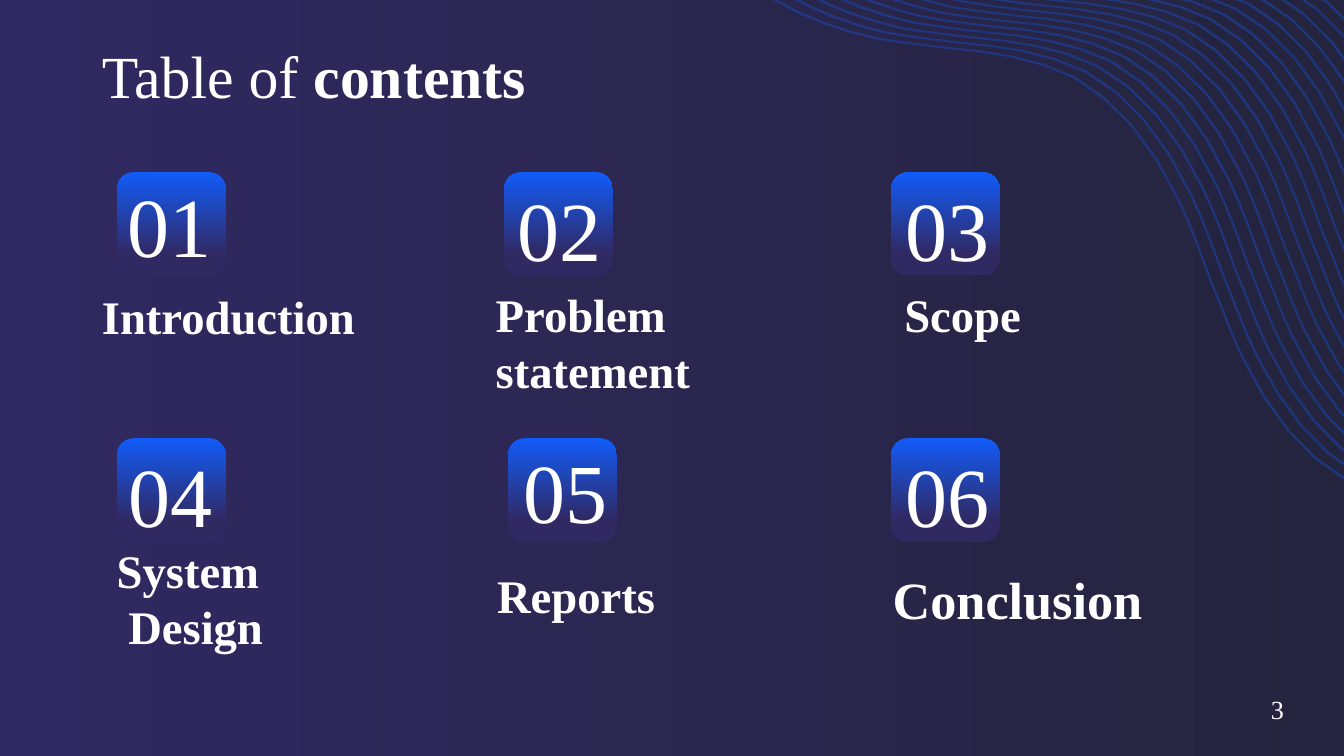
from collections import namedtuple
from itertools import pairwise

from lxml.etree import SubElement
from pptx import Presentation
from pptx.dml.color import RGBColor
from pptx.enum.shapes import MSO_SHAPE
from pptx.enum.text import MSO_ANCHOR, PP_ALIGN
from pptx.oxml.ns import qn
from pptx.util import Inches, Pt

NIGHT = RGBColor(0x24, 0x24, 0x3E)
PURPLE = RGBColor(0x31, 0x29, 0x62)
BLUE = RGBColor(0x11, 0x5C, 0xF9)
WHITE = RGBColor(0xFF, 0xFF, 0xFF)

SLIDE_WIDTH = Inches(10)
COLUMNS, ROWS = 100, 56.25
CELL = SLIDE_WIDTH // COLUMNS
FONT = "Times New Roman"

Box = namedtuple("Box", "column row columns rows")
Card = namedtuple("Card", "numeral label tile numeral_shift label_shift label_format")

HEADING = {"size": Pt(25), "bold": True}
CLOSING = {"size": Pt(28), "bold": True}
NUMERAL = {"size": Pt(45), "bold": False}

CARDS = [
    Card("01", "Introduction", (8.7, 12.8), (-1.3, -1), (-2.1, 7.5), HEADING),
    Card("02", "Problem statement", (37.5, 12.8), (-1.1, -0.7), (-1.6, 7.4), HEADING),
    Card("03", "Scope", (66.3, 12.8), (-1, -0.7), (0, 7.4), HEADING),
    Card("04", "System\v Design", (8.7, 32.6), (-1.2, -0.7), (-1, 6.6), HEADING),
    Card("05", "Reports", (37.8, 32.6), (-0.9, -1), (-1.8, 8.5), HEADING),
    Card("06", "Conclusion", (66.3, 32.6), (-1, -0.7), (-4.2, 8.5), CLOSING),
]

WAVE_START = (57.5, 0)
WAVE_CURVES = [
    [(59.8, 1.4), (62.4, 2.3), (65, 2.9)],
    [(66.7, 3.2), (68.4, 3.4), (70.1, 3.6)],
    [(73.4, 3.9), (76.8, 4.3), (79.8, 5.8)],
    [(82.9, 7.5), (85.6, 10.6), (87.7, 15.1)],
    [(88.6, 17), (89.3, 19), (90, 20.9)],
    [(90.8, 22.8), (91.5, 24.8), (92.4, 26.7)],
    [(94.5, 31), (97, 34), (100, 35.7)],
]
WAVE_COUNT = 19
WAVE_STEP = (0.93, -0.39)
WAVE_THICKNESS = (0.12, -0.14)
CURVE_SAMPLES = 4


def emu(box):
    return [round(length * CELL) for length in box]


def paint_gradient(fill, stops, angle):
    fill.gradient()
    fill.gradient_angle = angle
    for stop, (position, color) in zip(fill.gradient_stops, stops):
        stop.position = position
        stop.color.rgb = color


def add_text(slide, box, runs, align=PP_ALIGN.LEFT, inset=1):
    frame = slide.shapes.add_textbox(*emu(box)).text_frame
    margin = round(inset * CELL)
    frame_format = {
        "word_wrap": True,
        "vertical_anchor": MSO_ANCHOR.TOP,
        "margin_left": margin,
        "margin_right": margin,
        "margin_top": margin + CELL // 10,
        "margin_bottom": margin,
    }
    for name, value in frame_format.items():
        setattr(frame, name, value)
    paragraph = frame.paragraphs[0]
    paragraph.alignment = align
    for wording, run_format in runs:
        for index, line in enumerate(wording.split("\v")):
            if index:
                paragraph.add_line_break()
            run = paragraph.add_run()
            run.text = line
            for name, value in {"name": FONT, **run_format}.items():
                setattr(run.font, name, value)
            run.font.color.rgb = WHITE
            paragraph.line_spacing = Pt(run.font.size.pt * 1.2)


def sample_wave():
    points = [WAVE_START]
    for first, second, end in WAVE_CURVES:
        start = points[-1]
        for sample in range(1, CURVE_SAMPLES + 1):
            t = sample / CURVE_SAMPLES
            weights = ((1 - t) ** 3, 3 * t * (1 - t) ** 2, 3 * t * t * (1 - t), t ** 3)
            points.append(tuple(
                sum(weight * value for weight, value in zip(weights, values))
                for values in zip(start, first, second, end)
            ))
    return points


def shift_and_clip(points, shift, box):
    right = box.column + box.columns
    moved = [(x + shift[0], y + shift[1]) for x, y in points]
    clipped = [moved[0]] if moved[0][1] >= box.row else []
    for (x, y), (next_x, next_y) in pairwise(moved):
        slope = (next_y - y) / (next_x - x)
        if y < box.row < next_y:
            x, y = x + (box.row - y) / slope, box.row
            clipped.append((x, y))
        if x < right < next_x:
            next_x, next_y = right, y + (right - x) * slope
        if next_y >= box.row and next_x <= right:
            clipped.append((next_x, next_y))
    return clipped


def add_waves(slide, box):
    wave = sample_wave()
    for index in range(WAVE_COUNT):
        offset = [index * step for step in WAVE_STEP]
        inner = [a + b for a, b in zip(offset, WAVE_THICKNESS)]
        outline = shift_and_clip(wave, offset, box) + shift_and_clip(wave, inner, box)[::-1]
        corners = [emu(point) for point in outline]
        builder = slide.shapes.build_freeform(*corners[0])
        builder.add_line_segments(corners[1:], close=True)
        band = builder.convert_to_shape()
        band.shadow.inherit = False
        band.line.fill.background()
        band.fill.solid()
        band.fill.fore_color.rgb = BLUE
        for color in band.fill._xPr.iter(qn("a:srgbClr")):
            SubElement(color, qn("a:alpha"), val="32000")


def add_card(slide, box, card):
    tile = slide.shapes.add_shape(MSO_SHAPE.ROUNDED_RECTANGLE, *emu(box))
    tile.shadow.inherit = False
    tile.line.fill.background()
    paint_gradient(tile.fill, [(0, BLUE), (0.8, PURPLE)], 270)

    across, down = card.numeral_shift
    numeral_box = Box(box.column + across, box.row + down, 10.4, 8.4)
    add_text(slide, numeral_box, [(card.numeral, NUMERAL)], PP_ALIGN.CENTER)

    across, down = card.label_shift
    label_box = Box(box.column + across, box.row + down, 27.2, 5.8)
    align = PP_ALIGN.CENTER if card.label_format is CLOSING else PP_ALIGN.LEFT
    add_text(slide, label_box, [(card.label, card.label_format)], align)


def add_title(slide, box):
    add_text(slide, box, [
        ("Table of", {"size": Pt(32), "bold": False}),
        (" contents", {"size": Pt(32), "bold": True}),
    ])


def add_page_number(slide, box):
    add_text(slide, box, [("3", {"size": Pt(14)})], PP_ALIGN.CENTER, 0.5)


def main():
    presentation = Presentation()
    presentation.slide_width = SLIDE_WIDTH
    presentation.slide_height = round(ROWS * CELL)
    slide = presentation.slides.add_slide(presentation.slide_layouts[6])
    paint_gradient(slide.background.fill, [(0, NIGHT), (1, PURPLE)], 180)
    add_waves(slide, Box(0, 0, COLUMNS, ROWS))
    add_title(slide, Box(6.6, 1.8, 84.3, 6.3))
    for card in CARDS:
        add_card(slide, Box(*card.tile, 8.1, 7.7), card)
    add_page_number(slide, Box(92.7, 51, 4.7, 3.4))
    presentation.save("out.pptx")


if __name__ == "__main__":
    main()
